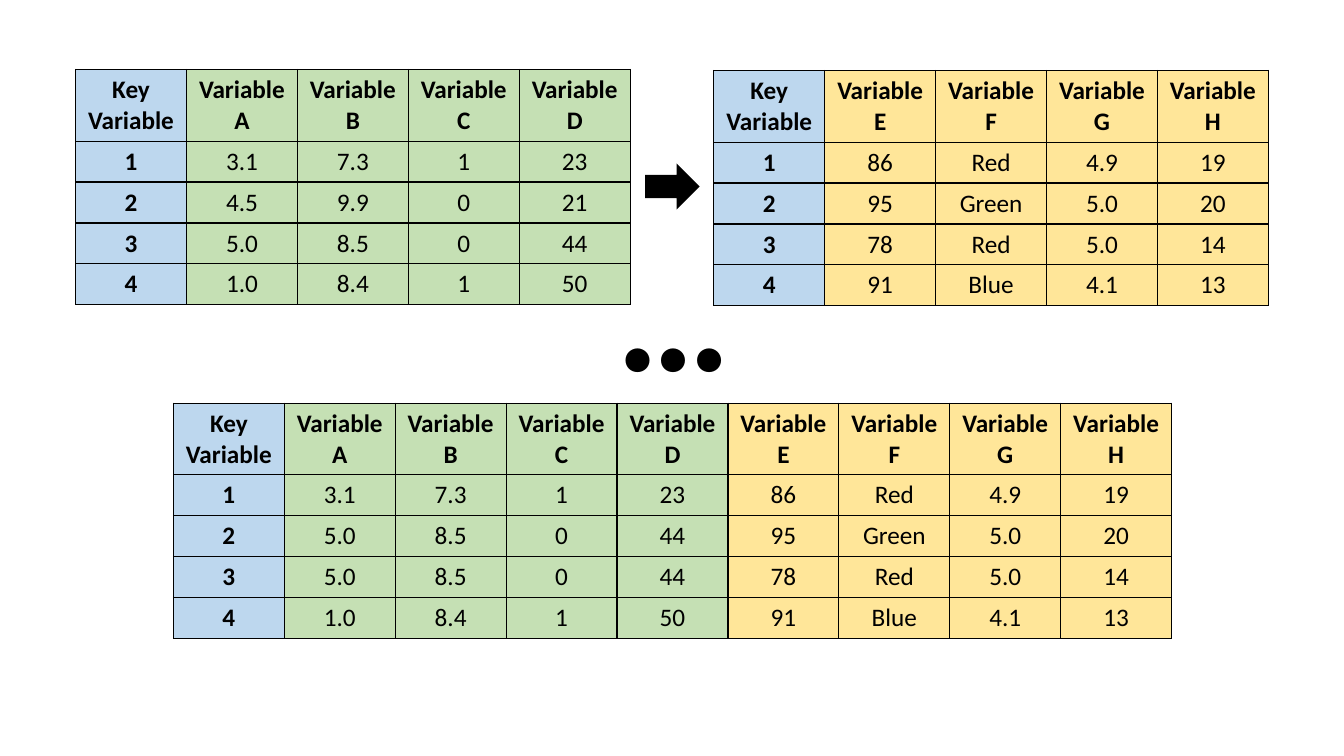
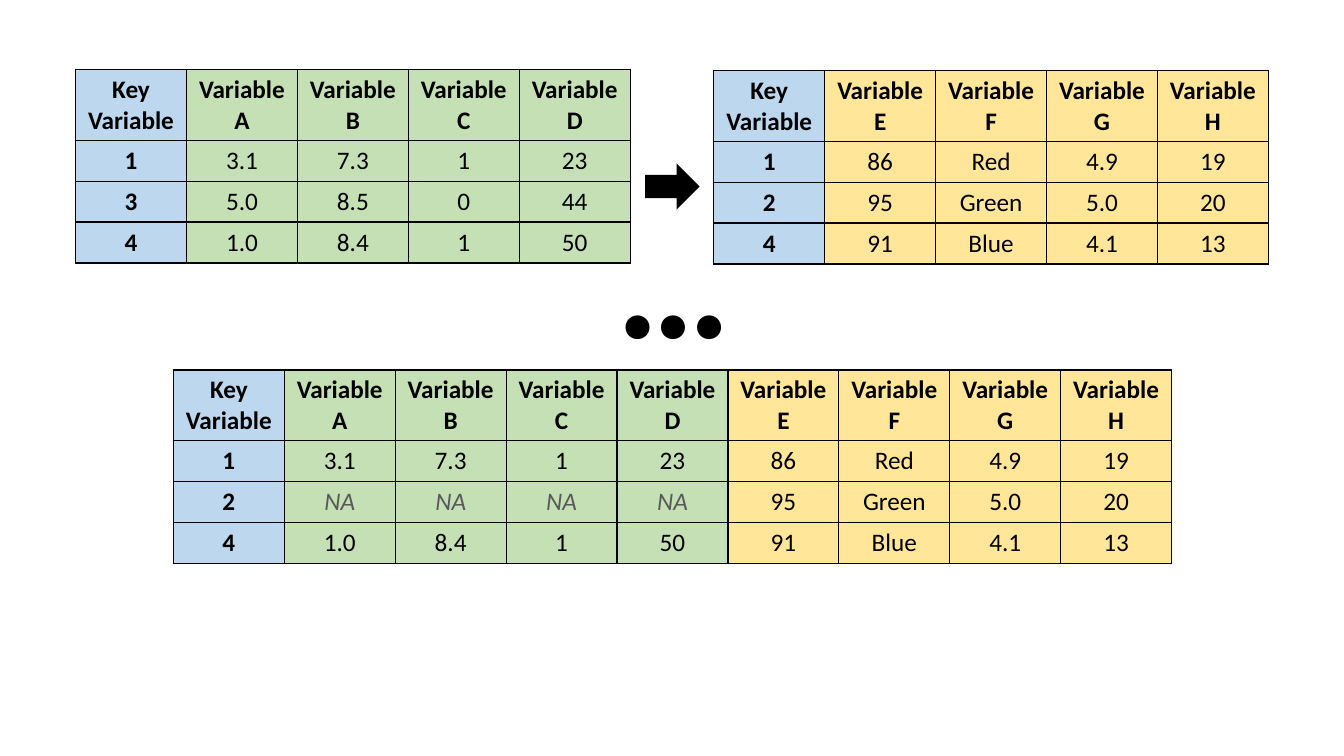
import pptx
import pptx.util
import pptx.dml.color
import pptx.enum.shapes
import pptx.enum.text
import pptx.oxml
import pptx.oxml.ns

Inches = pptx.util.Inches
FONT = "Calibri"
BLACK, GRAY = "000000", "595959"
BLUE, GREEN, YELLOW = "BDD7EE", "C5E0B4", "FFE699"
COLUMN_WIDTH, HEADER_HEIGHT = 1.1, 0.7
MISSING = "NA"

KEY_HEADER = "Key Variable"
LEFT_HEADERS = [f"Variable {letter}" for letter in "ABCD"]
RIGHT_HEADERS = [f"Variable {letter}" for letter in "EFGH"]
LEFT_VALUES = {
    "1": ["3.1", "7.3", "1", "23"],
    "2": ["4.5", "9.9", "0", "21"],
    "3": ["5.0", "8.5", "0", "44"],
    "4": ["1.0", "8.4", "1", "50"],
}
RIGHT_VALUES = {
    "1": ["86", "Red", "4.9", "19"],
    "2": ["95", "Green", "5.0", "20"],
    "3": ["78", "Red", "5.0", "14"],
    "4": ["91", "Blue", "4.1", "13"],
}


def color(hex_string):
    return pptx.dml.color.RGBColor.from_string(hex_string)


def style_paragraph(paragraph, size, bold, hex_string=BLACK, italic=False):
    paragraph.alignment = pptx.enum.text.PP_ALIGN.CENTER
    paragraph.font.name = FONT
    paragraph.font.size = pptx.util.Pt(size)
    paragraph.font.bold = bold
    paragraph.font.italic = italic
    paragraph.font.color.rgb = color(hex_string)


def add_borders(cell):
    properties = cell._tc.get_or_add_tcPr()
    for index, side in enumerate(("lnL", "lnR", "lnT", "lnB")):
        border = pptx.oxml.parse_xml(
            f'<a:{side} {pptx.oxml.ns.nsdecls("a")} w="12700"><a:solidFill>'
            f'<a:srgbClr val="{BLACK}"/></a:solidFill></a:{side}>'
        )
        properties.insert(index, border)


def add_data_table(slide, left, top, height, rows, fills):
    width = COLUMN_WIDTH * len(fills)
    table = slide.shapes.add_table(
        len(rows), len(fills), Inches(left), Inches(top), Inches(width), Inches(height)
    ).table
    table.first_row = False
    table.horz_banding = False
    for column in table.columns:
        column.width = Inches(COLUMN_WIDTH)
    row_height = (height - HEADER_HEIGHT) / (len(rows) - 1)
    for row_index, values in enumerate(rows):
        table.rows[row_index].height = Inches(row_height if row_index else HEADER_HEIGHT)
        for column_index, (value, fill) in enumerate(zip(values, fills)):
            cell = table.cell(row_index, column_index)
            cell.text = value
            cell.vertical_anchor = pptx.enum.text.MSO_ANCHOR.MIDDLE
            cell.fill.solid()
            cell.fill.fore_color.rgb = color(fill)
            add_borders(cell)
            missing = value == MISSING
            style_paragraph(
                cell.text_frame.paragraphs[0],
                18,
                row_index == 0 or column_index == 0,
                GRAY if missing else BLACK,
                missing,
            )


def add_arrow(slide, left, top, width, height):
    arrow = slide.shapes.add_shape(
        pptx.enum.shapes.MSO_SHAPE.DOWN_ARROW,
        Inches(left), Inches(top), Inches(width), Inches(height),
    )
    arrow.rotation = 270
    arrow.shadow.inherit = False
    arrow.fill.solid()
    arrow.fill.fore_color.rgb = color(BLACK)
    arrow.line.fill.background()


def add_ellipsis(slide, left, top, width, height):
    text_box = slide.shapes.add_textbox(
        Inches(left), Inches(top), Inches(width), Inches(height)
    )
    text_frame = text_box.text_frame
    text_frame.word_wrap = True
    text_frame.auto_size = pptx.enum.text.MSO_AUTO_SIZE.SHAPE_TO_FIT_TEXT
    text_frame.text = "…"
    style_paragraph(text_frame.paragraphs[0], 115, True)


def add_join_slide(presentation, left_keys, right_keys, matches, table_height, joined_top):
    slide = presentation.slides.add_slide(presentation.slide_layouts[6])
    left_rows = [[KEY_HEADER] + LEFT_HEADERS]
    left_rows += [[key] + LEFT_VALUES[key] for key in left_keys]
    right_rows = [[KEY_HEADER] + RIGHT_HEADERS]
    right_rows += [[key] + RIGHT_VALUES[key] for key in right_keys]
    joined_rows = [[KEY_HEADER] + LEFT_HEADERS + RIGHT_HEADERS]
    joined_rows += [
        [key] + LEFT_VALUES.get(match, [MISSING] * 4) + RIGHT_VALUES[key]
        for key, match in matches.items()
    ]
    add_data_table(slide, 0.75, 0.69, table_height, left_rows, [BLUE] + [GREEN] * 4)
    add_arrow(slide, 6.44, 1.58, 0.46, 0.54)
    add_data_table(slide, 7.08, 0.7, table_height, right_rows, [BLUE] + [YELLOW] * 4)
    add_data_table(
        slide, 1.72, joined_top, table_height, joined_rows,
        [BLUE] + [GREEN] * 4 + [YELLOW] * 4,
    )
    add_ellipsis(slide, 6.02, joined_top - 1.96, 1.28, 2.04)


presentation = pptx.Presentation()
presentation.slide_width = Inches(13.33)
presentation.slide_height = Inches(7.5)
add_join_slide(
    presentation, "1234", "1234", {"1": "1", "2": "3", "3": "3", "4": "4"}, 2.32, 4
)
add_join_slide(
    presentation, "134", "124", {"1": "1", "2": None, "4": "4"}, 1.92, 3.67
)
presentation.save("out.pptx")
